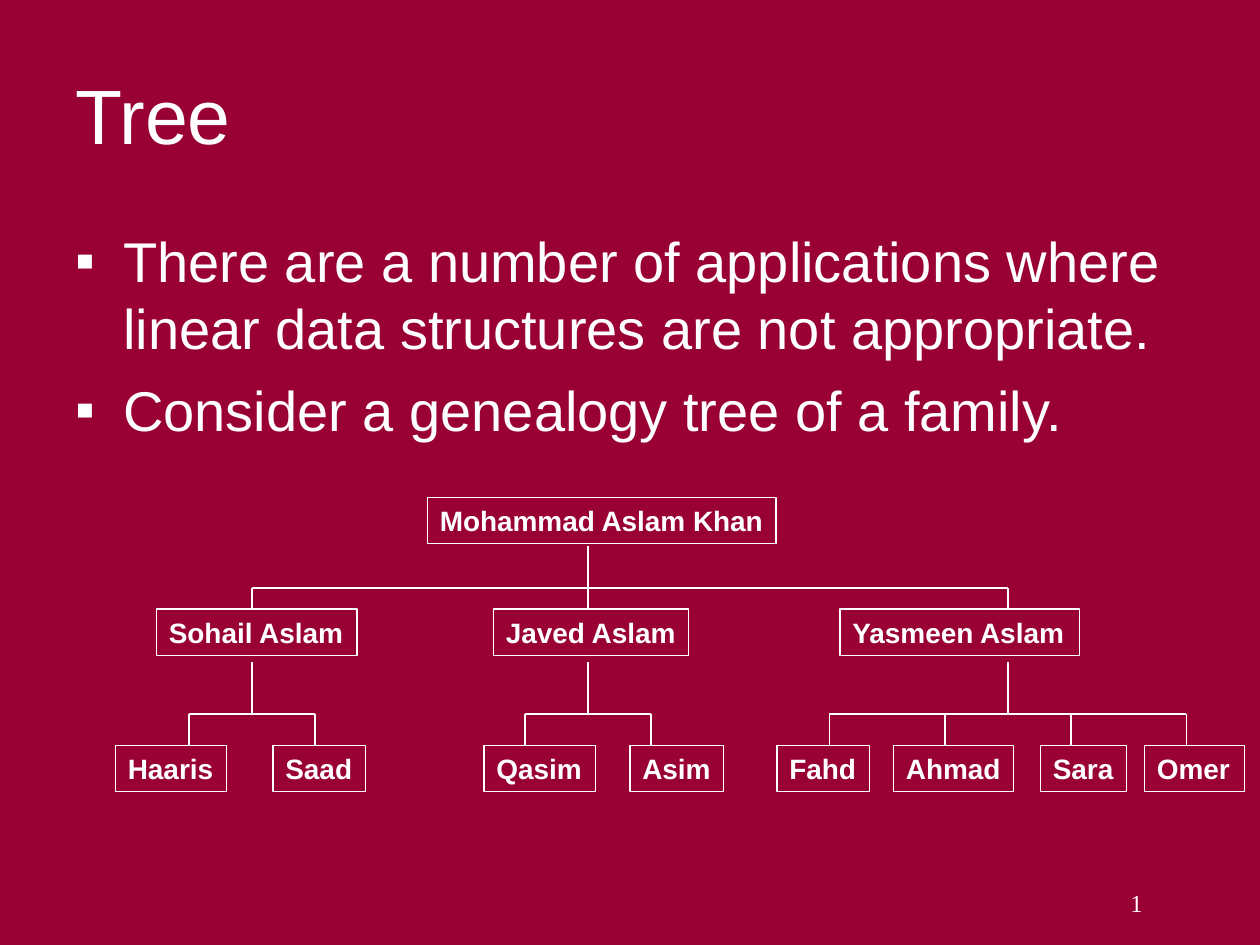
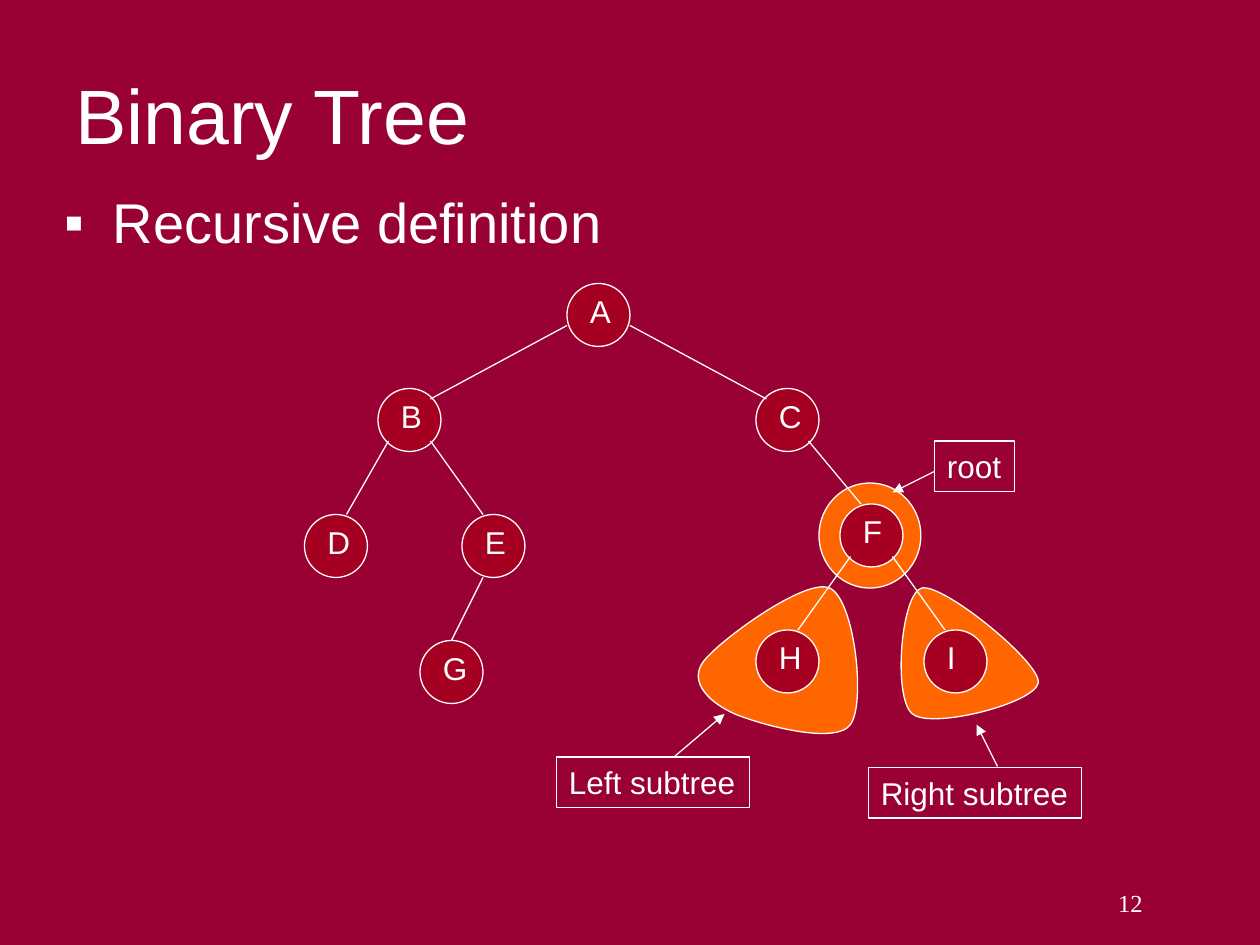
"""Build two slides on trees: a family genealogy and the recursive definition of a binary tree."""
from lxml.etree import SubElement
from pptx import Presentation
from pptx.dml.color import RGBColor
from pptx.enum.shapes import MSO_CONNECTOR, MSO_SHAPE
from pptx.enum.text import MSO_ANCHOR, MSO_AUTO_SIZE, PP_ALIGN
from pptx.oxml.ns import qn
from pptx.util import Inches, Pt

CRIMSON = RGBColor(0x99, 0x00, 0x33)
RUBY = RGBColor(0xA5, 0x00, 0x21)
ORANGE = RGBColor(0xFF, 0x66, 0x00)
WHITE = RGBColor(0xFF, 0xFF, 0xFF)
HAIRLINE = Pt(0.75)

deck = Presentation()
deck.slide_width, deck.slide_height = Inches(10), Inches(7.5)
CELL = deck.slide_width // 120
backdrop = deck.slide_master.background.fill
backdrop.solid()
backdrop.fore_color.rgb = CRIMSON


def write(slide, text, left, top, width, height, size=18, font="Arial", bold=False,
          align=PP_ALIGN.LEFT, anchor=MSO_ANCHOR.TOP, framed=False, bullet=None, spacing=None):
    area = slide.shapes.add_textbox(*(round(n * CELL) for n in (left, top, width, height)))
    frame = area.text_frame
    frame.word_wrap, frame.vertical_anchor = not framed, anchor
    if framed:
        area.line.color.rgb, area.line.width = WHITE, HAIRLINE
        frame.auto_size = MSO_AUTO_SIZE.SHAPE_TO_FIT_TEXT
    frame.text = text
    for index, paragraph in enumerate(frame.paragraphs):
        paragraph.alignment = align
        if spacing:
            paragraph.line_spacing = spacing
        if bullet:
            if index:
                paragraph.space_before = Pt(8)
            properties = paragraph._p.get_or_add_pPr()
            properties.set("marL", str(Inches(0.38)))
            properties.set("indent", str(-Inches(0.38)))
            tint = SubElement(properties, qn("a:buClr"))
            SubElement(tint, qn("a:srgbClr"), val=str(WHITE))
            SubElement(properties, qn("a:buFont"), typeface=font)
            SubElement(properties, qn("a:buChar"), char=bullet)
        for run in paragraph.runs:
            run.font.name, run.font.size, run.font.bold = font, Pt(size), bold
            run.font.color.rgb = WHITE


def connect(slide, start_x, start_y, end_x, end_y, arrow=False):
    ends = (round(n * CELL) for n in (start_x, start_y, end_x, end_y))
    link = slide.shapes.add_connector(MSO_CONNECTOR.STRAIGHT, *ends)
    link.line.color.rgb, link.line.width = WHITE, HAIRLINE
    if arrow:
        SubElement(link.line._get_or_add_ln(), qn("a:tailEnd"), type="triangle")
    SubElement(link._element.spPr, qn("a:effectLst"))


slides = []
for number, heading in (("1", "Tree"), ("12", "Binary Tree")):
    slide = deck.slides.add_slide(deck.slide_layouts[6])
    write(slide, number, 85, 84, 25, 6, size=14, font="Times New Roman", align=PP_ALIGN.RIGHT)
    write(slide, heading, 6, 4.8, 108, 12, size=44, anchor=MSO_ANCHOR.MIDDLE)
    slides.append(slide)
family, binary = slides

write(family, "There are a number of applications where linear data structures are not appropriate.\n"
      "Consider a genealogy tree of a family.", 6, 21, 108, 23, size=32, bullet="▪")

generations = [
    (47.4, [("Mohammad Aslam Khan", 40.7, 33.2)]),
    (58, [("Sohail Aslam", 14.9, 19.1), ("Javed Aslam", 47, 18.6), ("Yasmeen Aslam", 80, 22.8)]),
    (71, [("Haaris", 11, 10.6), ("Saad", 26, 8.8), ("Qasim", 46.1, 10.6), ("Asim", 60, 8.9),
          ("Fahd", 74, 8.8), ("Ahmad", 85.1, 11.4), ("Sara", 99.1, 8.2), ("Omer", 109, 9.5)]),
]
for row, relatives in generations:
    for relative, left, width in relatives:
        write(family, relative, left, row, width, 4.4, size=16, bold=True, framed=True)

branches = [
    (56, 52, 56, 58, (24, 56, 96)),
    (24, 63, 68, 71, (18, 30)),
    (56, 63, 68, 71, (50, 62)),
    (96, 63, 68, 71, (79, 90, 102, 113)),
]
for parent, stem_row, rail_row, child_row, children in branches:
    connect(family, parent, stem_row, parent, rail_row)
    connect(family, children[0], rail_row, children[-1], rail_row)
    for child in children:
        connect(family, child, rail_row, child, child_row)

write(binary, "Recursive definition", 5, 18, 108, 7, size=32, bullet="▪", spacing=0.9)

left_subtree = [(79, 56), (76.7, 55), (68.5, 61), (67, 63), (65.5, 65), (67.7, 67), (70, 68),
                (72.4, 69), (79.6, 71), (81, 69), (82.5, 67), (81.4, 57), (79, 56)]
right_subtree = [(87.8, 56), (85.8, 56.5), (85, 66.5), (86.9, 68), (88.7, 69.5), (98.6, 67),
                 (98.9, 65), (99, 63), (89.9, 55.6), (87.8, 56)]
for outline in (left_subtree, right_subtree):
    start, *controls = [(round(x * 10), round(y * 10)) for x, y in outline]
    builder = binary.shapes.build_freeform(*start, scale=CELL / 10)
    builder.add_line_segments(controls, close=True)
    subtree = builder.convert_to_shape()
    subtree.shadow.inherit = False
    subtree.fill.solid()
    subtree.fill.fore_color.rgb = ORANGE
    subtree.line.color.rgb, subtree.line.width = WHITE, HAIRLINE
    for index, leg in enumerate(list(subtree._element.iter(qn("a:lnTo")))):
        if index % 3 == 0:
            curve = leg.makeelement(qn("a:cubicBezTo"))
            leg.addprevious(curve)
        curve.append(leg[0])
        leg.getparent().remove(leg)

nodes = {"A": (54, 27), "B": (36, 37), "D": (29, 49), "H": (72, 60), "C": (72, 37),
         "E": (44, 49), "F": (80, 48), "G": (40, 61), "I": (88, 60)}
discs = [(78, 46, 9.7, 10, ORANGE)] + [(x, y, 6, 6, RUBY) for x, y in nodes.values()]
for *bounds, color in discs:
    disc = binary.shapes.add_shape(MSO_SHAPE.OVAL, *(round(n * CELL) for n in bounds))
    disc.shadow.inherit = False
    disc.fill.solid()
    disc.fill.fore_color.rgb = color
    disc.line.color.rgb, disc.line.width = WHITE, HAIRLINE
for letter, (x, y) in nodes.items():
    write(binary, letter, x + 1, y + 0.2, 5, 4.8)

edges = [(54, 31, 41, 38), (60, 31, 73, 38), (37, 42, 33, 49), (41, 42, 46, 49),
         (46, 55, 43, 61), (77, 42, 82, 48), (81, 53, 76, 60), (85, 53, 90, 60)]
for edge in edges:
    connect(binary, *edge)

callouts = [
    ("root", 89, 42, 7.6, (89, 44.9, 85, 46.9)),
    ("Right subtree", 82.7, 73.1, 20.3, (95, 73, 93, 69)),
    ("Left subtree", 53, 72.1, 18.4, (64.3, 72, 69, 68)),
]
for caption, left, top, width, pointer in callouts:
    write(binary, caption, left, top, width, 4.8, framed=True)
    connect(binary, *pointer, arrow=True)

deck.save("out.pptx")
